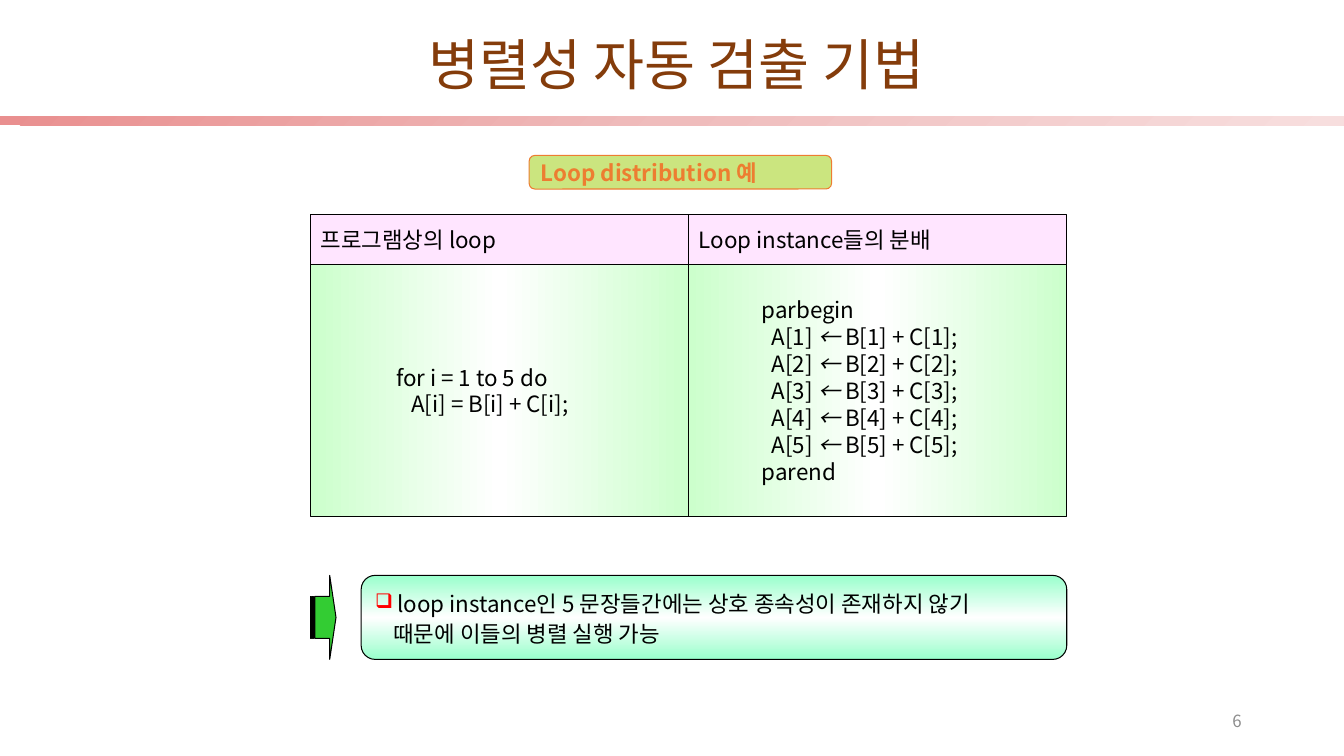
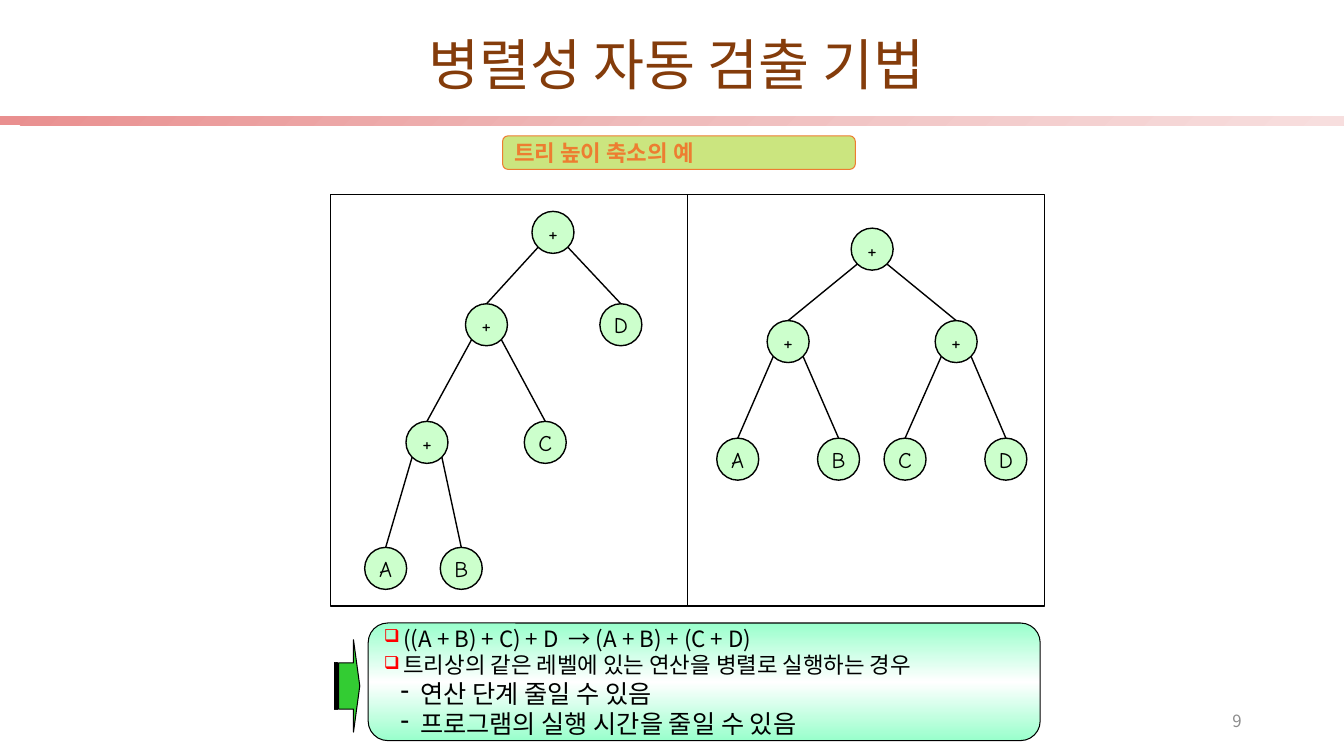
import copy

import pptx
import pptx.dml.color
import pptx.enum.shapes
import pptx.enum.text
import pptx.oxml.ns
import pptx.util
from lxml import etree

Pt = pptx.util.Pt
qn = pptx.oxml.ns.qn
KIND = pptx.enum.shapes.MSO_SHAPE
ALIGN = pptx.enum.text.PP_ALIGN
ANCHOR = pptx.enum.text.MSO_ANCHOR

# Shared style
SANS, COMIC = "Noto Sans CJK KR", "Comic Neue"
BLACK, WHITE, BROWN, GRAY = "000000", "FFFFFF", "843C0B", "8C8C8C"
ORANGE, LIME, PINK, MINT = "ED7D31", "99CC00", "FFCCFF", "CCFFCC"
RED, GREEN = "FF0000", "33CC33"
BAND = ("E98F8F", "EFBCBC", "F7DEDE")
PANEL = (MINT, WHITE, MINT)
NOTE = ("99FFCC", WHITE, "99FFCC")
TITLE = "병렬성 자동 검출 기법"

# Slide 1: each column has a head, its code and the code's left margin
COLS = [
    ("프로그램상의 loop", 61,
     ["for i = 1 to 5 do", "   A[i] = B[i] + C[i];"]),
    ("Loop instance들의 분배", 52,
     ["parbegin"]
     + [f"  A[{i}] ← B[{i}] + C[{i}];" for i in range(1, 6)]
     + ["parend"]),
]
LOOP = [
    ("loop instance인 5 문장들간에는 상호 종속성이 존재하지 않기",
     dict(mark="❑", tint=RED, scale=90, left=16, hang=16, lead=1.1)),
    ("때문에 이들의 병렬 실행 가능", dict(left=13, lead=1.1)),
]

# Slide 2: each node has a label, left, top and the index of its parent
TREES = [
    [("+", 380, 151, None), ("+", 332.5, 217, 0), ("D", 428.5, 217, 0),
     ("+", 290, 301, 1), ("C", 374.5, 301, 1),
     ("A", 260.5, 391, 3), ("B", 314.5, 391, 3)],
    [("+", 608, 163, None), ("+", 548, 229, 0), ("+", 668, 229, 0),
     ("A", 512, 313, 1), ("B", 584, 313, 1),
     ("C", 631.5, 313, 2), ("D", 703.5, 313, 2)],
]
BOX = dict(mark="❑", tint=RED, scale=80, left=14, hang=14)
DASH = dict(mark="-", left=26, hang=14, size=18)
TREE = [
    ("((A + B) + C) + D  → (A + B) + (C + D)", BOX),
    ("트리상의 같은 레벨에 있는 연산을 병렬로 실행하는 경우", BOX),
    ("연산 단계 줄일 수 있음", DASH),
    ("프로그램의 실행 시간을 줄일 수 있음", DASH),
]


def rgb(code):
    return pptx.dml.color.RGBColor.from_string(code)


def bullet(para, mark=None, tint=None, scale=100, left=0, hang=0):
    props = para._p.get_or_add_pPr()
    props.set("marL", str(Pt(left)))
    props.set("indent", str(-Pt(hang)))
    if tint:
        color = etree.SubElement(props, qn("a:buClr"))
        etree.SubElement(color, qn("a:srgbClr"), val=tint)
    if mark:
        etree.SubElement(props, qn("a:buSzPct"), val=str(scale * 1000))
        etree.SubElement(props, qn("a:buChar"), char=mark)


def write(shape, lines, size=16, color=BLACK, face=SANS, bold=False,
          align=ALIGN.LEFT, anchor=ANCHOR.MIDDLE, lead=None, pad=7.2):
    """Fill a shape with lines, each a string or (string, format)."""
    frame = shape.text_frame
    frame.word_wrap = True
    frame.auto_size = pptx.enum.text.MSO_AUTO_SIZE.NONE
    frame.vertical_anchor = anchor
    frame.margin_left, frame.margin_right = Pt(pad), Pt(min(pad, 7.2))
    frame.margin_top = frame.margin_bottom = 0
    for i, line in enumerate(lines):
        text, form = (line, {}) if isinstance(line, str) else line
        form = dict(form)
        high, gap = form.pop("size", size), form.pop("lead", lead)
        para = frame.add_paragraph() if i else frame.paragraphs[0]
        if form:
            bullet(para, **form)
        para.alignment = align
        if gap:
            para.line_spacing = gap
        # Arrows inside code lean
        for part in filter(None, text.partition("←")):
            run = para.add_run()
            run.text = part
            font = run.font
            font.size, font.name, font.bold = Pt(high), face, bold
            font.italic = part == "←"
            font.color.rgb = rgb(color)
            latin = run._r.rPr.find(qn("a:latin"))
            east = etree.Element(qn("a:ea"), typeface=face)
            latin.addnext(east)


def draw(slide, kind, spot, fill, line=BLACK, width=0.75, alpha=None, angle=0):
    """Add a shape; a tuple of three colours makes a gradient."""
    shape = slide.shapes.add_shape(kind, *map(Pt, spot))
    shape.shadow.inherit = False
    if isinstance(fill, tuple):
        shape.fill.gradient()
        stops = next(shape.element.iter(qn("a:gsLst")))
        stops.append(copy.deepcopy(stops[0]))
        for i, stop in enumerate(shape.fill.gradient_stops):
            stop.color.rgb = rgb(fill[i])
            stop.position = i / 2
        shape.fill.gradient_angle = -angle % 360
    else:
        shape.fill.solid()
        shape.fill.fore_color.rgb = rgb(fill)
    if alpha:
        tone = next(shape.element.spPr.iter(qn("a:srgbClr")))
        etree.SubElement(tone, qn("a:alpha"), val=str(alpha * 1000))
    if line:
        shape.line.color.rgb = rgb(line)
        shape.line.width = Pt(width)
    else:
        shape.line.fill.background()
    return shape


def start(deck, number, topic, spot):
    """Add a slide with its title, number and topic pill."""
    slide = deck.slides.add_slide(deck.slide_layouts[5])
    title = slide.shapes.title
    title.left, title.top, title.width, title.height = map(
        Pt, (43, 34.5, 880, 44))
    write(title, [TITLE], size=39.6, color=BROWN, align=ALIGN.CENTER,
          anchor=ANCHOR.TOP, lead=0.7)
    page = slide.shapes.add_textbox(*map(Pt, (678, 500.5, 216, 29)))
    write(page, [number], size=12, color=GRAY, align=ALIGN.RIGHT)
    pill = draw(slide, KIND.FLOWCHART_ALTERNATE_PROCESS, spot, LIME,
                line=ORANGE, alpha=50)
    write(pill, [topic], color=ORANGE, bold=True)
    return slide


def note(slide, lines, spot, point):
    """Add the closing note and the arrow that leads to it."""
    box = draw(slide, KIND.FLOWCHART_ALTERNATE_PROCESS, spot, NOTE, angle=90)
    write(box, lines)
    arrow = draw(slide, KIND.STRIPED_RIGHT_ARROW, point, GREEN)
    arrow.adjustments[0], arrow.adjustments[1] = 0.5, 0.25


def plant(slide, tree, size=30):
    """Draw the nodes of a tree and the lines to their parents."""
    nodes = []
    reach = size / 2 * 0.71
    for label, x, y, up in tree:
        node = draw(slide, KIND.OVAL, (x, y, size, size), MINT, width=1)
        write(node, [label], face=COMIC, align=ALIGN.CENTER, pad=0)
        nodes.append(node)
        if up is None:
            continue
        _, left, top, _ = tree[up]
        side = reach if x > left else -reach
        begin = left + size / 2 + side, top + size / 2 + reach
        edge = slide.shapes.add_connector(
            pptx.enum.shapes.MSO_CONNECTOR.STRAIGHT,
            *map(Pt, (*begin, x + size / 2, y)))
        edge.end_connect(node, 0)
        edge.line.color.rgb = rgb(BLACK)
        edge.line.width = Pt(1)
        etree.SubElement(edge.element.spPr, qn("a:effectLst"))


def main():
    deck = pptx.Presentation()
    deck.slide_width, deck.slide_height = Pt(960), Pt(540)

    # Slide 1: loop distribution
    slide = start(deck, "6", "Loop distribution 예", (378, 111, 216, 24))
    for i, (head, pad, code) in enumerate(COLS):
        x = 222 + 270 * i
        panel = draw(slide, KIND.RECTANGLE, (x, 189, 270, 180), PANEL)
        write(panel, code, pad=pad)
        top = draw(slide, KIND.RECTANGLE, (x, 153, 270, 36), PINK, alpha=50)
        write(top, [head])
    note(slide, LOOP, (258, 411, 504, 60), (222, 411, 18, 60))

    # Band under the title, kept on the layout
    band = draw(slide, KIND.RECTANGLE, (0, 83, 960, 6.5), BAND, line=None,
                angle=45)
    slide.slide_layout.shapes.element.insert(2, band.element)

    # Slide 2: tree height reduction
    slide = start(deck, "9", "트리 높이 축소의 예", (359, 97, 252, 24))
    for i, tree in enumerate(TREES):
        draw(slide, KIND.RECTANGLE, (236 + 255 * i, 139, 255, 294), WHITE,
             width=1)
        plant(slide, tree)
    note(slide, TREE, (263, 445, 480, 84), (239, 457, 18, 66))

    deck.save("out.pptx")


if __name__ == "__main__":
    main()
